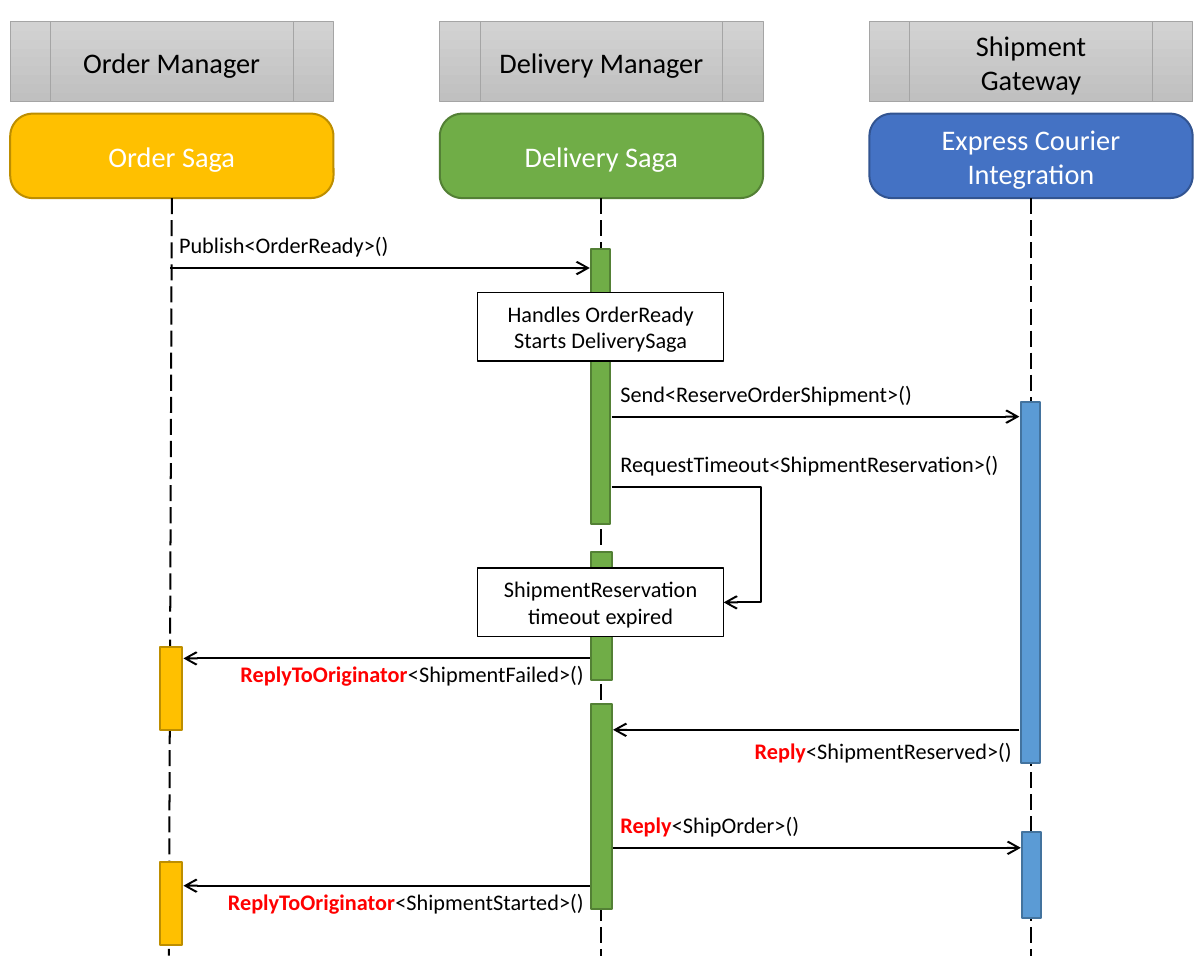
from lxml import etree
from pptx import Presentation
from pptx.dml.color import RGBColor
from pptx.enum.dml import MSO_LINE
from pptx.enum.shapes import MSO_CONNECTOR, MSO_SHAPE
from pptx.enum.text import MSO_ANCHOR, PP_ALIGN
from pptx.oxml.ns import qn
from pptx.util import Cm, Inches, Pt

RECT, ROUNDED = MSO_SHAPE.RECTANGLE, MSO_SHAPE.ROUNDED_RECTANGLE
PROCESS = MSO_SHAPE.FLOWCHART_PREDEFINED_PROCESS
STRAIGHT, ELBOW = MSO_CONNECTOR.STRAIGHT, MSO_CONNECTOR.ELBOW
LEFT, CENTER, RIGHT = PP_ALIGN.LEFT, PP_ALIGN.CENTER, PP_ALIGN.RIGHT
TOP, MIDDLE = MSO_ANCHOR.TOP, MSO_ANCHOR.MIDDLE

COLORS = {
    "black": "000000", "white": "FFFFFF", "red": "FF0000",
    "gray_light": "D2D2D2", "gray_dark": "C0C0C0", "gray_line": "A5A5A5",
    "gold": "FFC000", "gold_line": "BD8E00",
    "green": "70AD47", "green_line": "538035",
    "blue": "4472C4", "blue_line": "325491",
    "sky": "5B9BD5", "sky_line": "43739E",
}
RGB = {name: RGBColor.from_string(value) for name, value in COLORS.items()}

prs = Presentation()
prs.slide_width = Cm(21)
prs.slide_height = Cm(17)
s = prs.slides.add_slide(prs.slide_layouts[6])


def add_box(kind, box, fill, line, width=1, lines=(), size=14, color="black", anchor=MIDDLE):
    sp = s.shapes.add_shape(kind, *map(Inches, box))
    sp.shadow.inherit = False
    sp.fill.solid()
    sp.fill.fore_color.rgb = RGB[fill]
    sp.line.color.rgb = RGB[line]
    sp.line.width = Pt(width)
    tf = sp.text_frame
    tf.word_wrap, tf.vertical_anchor = True, anchor
    for i, text in enumerate(lines):
        p = tf.paragraphs[0] if i == 0 else tf.add_paragraph()
        p.alignment = CENTER
        r = p.add_run()
        r.text = text
        r.font.name, r.font.size, r.font.color.rgb = "Calibri", Pt(size), RGB[color]
    return sp


def add_line(x1, y1, x2, y2, kind=STRAIGHT, arrow=True):
    cx = s.shapes.add_connector(kind, *map(Inches, (x1, y1, x2, y2)))
    cx.line.color.rgb = RGB["black"]
    cx.line.width = Pt(1)
    if arrow:
        etree.SubElement(cx.line._get_or_add_ln(), qn("a:tailEnd"), type="arrow")
    etree.SubElement(cx._element.spPr, qn("a:effectLst"))
    return cx


# Participants: service header, saga and lifeline
participants = [
    ("Order Manager", "Order Saga", "gold", 1.16),
    ("Delivery Manager", "Delivery Saga", "green", 4.13),
    ("Shipment Gateway", "Express Courier Integration", "blue", 7.08),
]
for i, (service, saga, color, foot_x) in enumerate(participants):
    x = 0.07 + 2.95 * i
    header = add_box(PROCESS, (x, 0.15, 2.22, 0.55), "gray_light", "gray_line", 0.5, [service])
    header.fill.gradient()
    header.fill.gradient_angle = 270
    for stop, shade in zip(header.fill.gradient_stops, ("gray_light", "gray_dark")):
        stop.color.rgb = RGB[shade]
    sp = add_box(ROUNDED, (x, 0.78, 2.22, 0.58), color, color + "_line",
                 lines=[saga], color="white")
    sp.adjustments[0] = 0.267
    lifeline = add_line(x + 1.11, 1.36, foot_x, 6.56, arrow=False)
    lifeline.line.dash_style = MSO_LINE.LONG_DASH
    lifeline.begin_connect(sp, 2)

# Activation bars
bars = [
    (4.06, 1.71, 0.13, 1.89, "green"),
    (4.06, 3.79, 0.14, 0.88, "green"),
    (4.06, 4.83, 0.14, 1.41, "green"),
    (1.10, 4.44, 0.15, 0.57, "gold"),
    (1.10, 5.92, 0.15, 0.57, "gold"),
    (7.01, 2.76, 0.13, 2.48, "sky"),
    (7.02, 5.71, 0.13, 0.59, "sky"),
]
for *box, color in bars:
    add_box(RECT, box, color, color + "_line")

# Notes on the delivery lifeline
notes = [
    (2.01, ["Handles OrderReady", "Starts DeliverySaga"]),
    (3.90, ["ShipmentReservation timeout expired"]),
]
for y, lines in notes:
    note = add_box(RECT, (3.28, y, 1.69, 0.47), "white", "black", 0.75, lines, 11, anchor=TOP)

# Timeout loop back to the last note
loop = add_line(4.2, 3.34, 4.97, 4.14, ELBOW)
loop.end_connect(note, 3)
guides = loop._element.spPr.find(qn("a:prstGeom")).get_or_add_avLst()
etree.SubElement(guides, qn("a:gd"), name="adj1", fmla="val 133000")

# Message arrows
arrows = [
    (1.17, 4.05, 1.84), (4.20, 7.00, 2.86), (4.05, 1.26, 4.52),
    (7.00, 4.21, 5.01), (4.21, 7.01, 5.82), (4.05, 1.26, 6.08),
]
for x1, x2, y in arrows:
    add_line(x1, y, x2, y)

# Message labels: left, top, width, alignment, highlighted part, rest
labels = [
    (1.23, 1.54, 2.77, LEFT, "", "Publish<OrderReady>()"),
    (4.26, 2.56, 2.69, LEFT, "", "Send<ReserveOrderShipment>()"),
    (4.26, 3.04, 2.69, LEFT, "", "RequestTimeout<ShipmentReservation>()"),
    (1.33, 4.48, 2.68, RIGHT, "ReplyToOriginator", "<ShipmentFailed>()"),
    (4.28, 5.01, 2.67, RIGHT, "Reply", "<ShipmentReserved>()"),
    (4.26, 5.52, 2.77, LEFT, "Reply", "<ShipOrder>()"),
    (1.33, 6.05, 2.68, RIGHT, "ReplyToOriginator", "<ShipmentStarted>()"),
]
for x, y, width, align, verb, message in labels:
    tf = s.shapes.add_textbox(*map(Inches, (x, y, width, 0.29))).text_frame
    tf.word_wrap = True
    tf.margin_left = tf.margin_right = 0
    p = tf.paragraphs[0]
    p.alignment = align
    for text, color, bold in ((verb, "red", True), (message, "black", False)):
        if text:
            r = p.add_run()
            r.text = text
            for name, value in {"name": "Calibri", "size": Pt(11), "bold": bold}.items():
                setattr(r.font, name, value)
            r.font.color.rgb = RGB[color]

prs.save("out.pptx")
